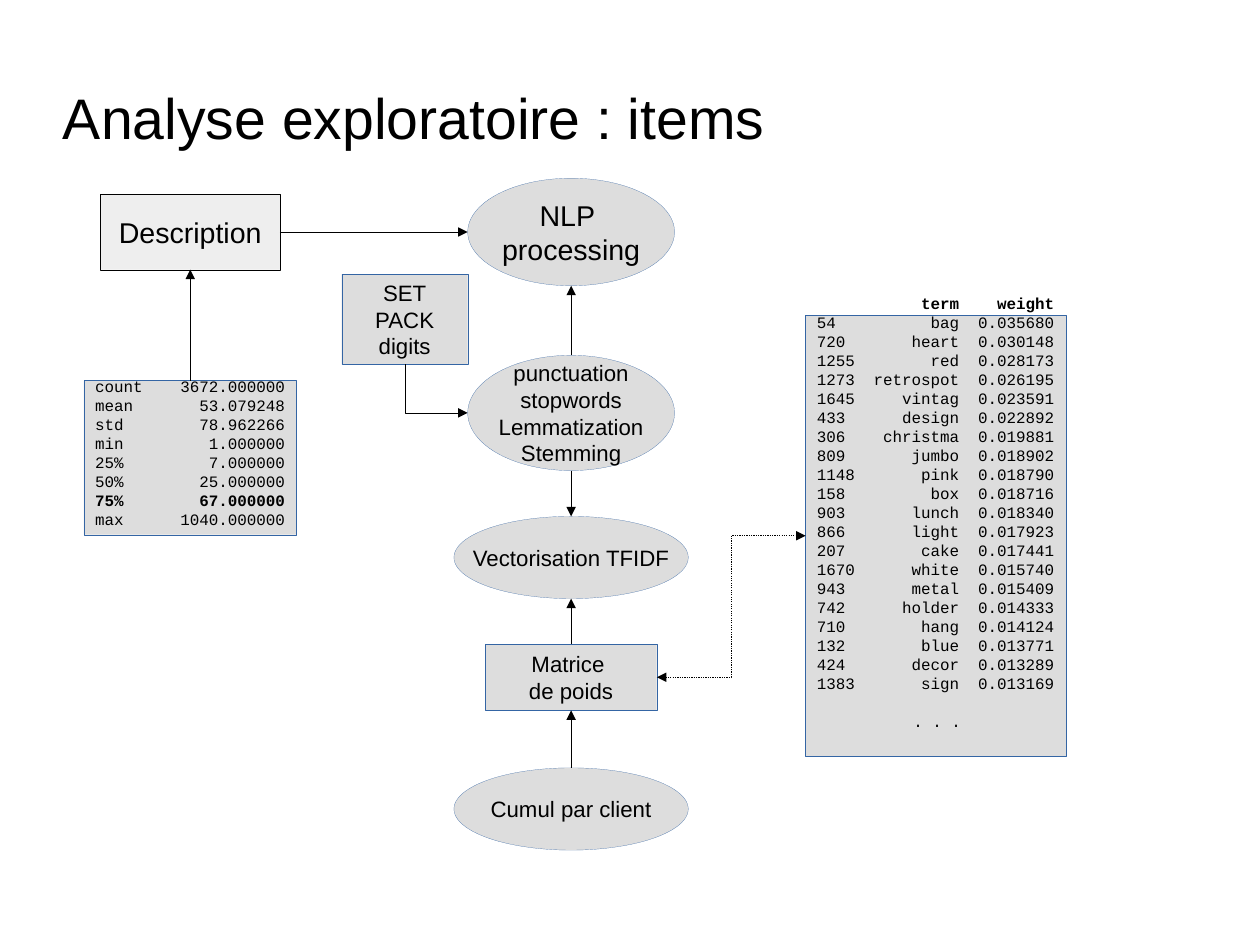
from dataclasses import dataclass

from lxml.etree import SubElement
from pptx import Presentation
from pptx.dml.color import RGBColor as RGB
from pptx.enum.dml import MSO_LINE as Dash
from pptx.enum.shapes import MSO_CONNECTOR as Link
from pptx.enum.shapes import MSO_SHAPE as Shape
from pptx.enum.text import MSO_ANCHOR as Anchor
from pptx.enum.text import PP_ALIGN as Align
from pptx.oxml.ns import qn
from pptx.util import Cm, Inches, Pt


@dataclass(frozen=True)
class Theme:
    ink: RGB = RGB(0x00, 0x00, 0x00)
    fill: RGB = RGB(0xDD, 0xDD, 0xDD)
    source_fill: RGB = RGB(0xEE, 0xEE, 0xEE)
    outline: RGB = RGB(0x34, 0x65, 0xA4)
    font: str = "Arial"
    mono: str = "Courier New"
    title: int = 36
    large: int = 18
    normal: int = 14
    small: int = 10
    hairline: float = 0.1
    dotted_line: float = 0.75
    mono_pitch: float = 0.083  # inches per character at the small size
    mono_leading: int = 12


class Diagram:
    """One slide, measured on a grid of 100 columns by 100 rows."""

    # Connection sites of each side: rectangle, ellipse
    SITES = {"top": (0, 0), "left": (1, 2), "bottom": (2, 4), "right": (3, 6)}
    OFFSETS = {"top": (0.5, 0), "left": (0, 0.5),
               "bottom": (0.5, 1), "right": (1, 0.5)}

    def __init__(self, deck, theme):
        self.theme = theme
        self.column = deck.slide_width / 100
        self.row = deck.slide_height / 100
        self.shapes = deck.slides.add_slide(deck.slide_layouts[6]).shapes

    def area(self, left, top, width, height):
        return (round(left * self.column), round(top * self.row),
                round(width * self.column), round(height * self.row))

    def style(self, paragraph, size, font, bold=False):
        for run in paragraph.runs:
            run.font.size = Pt(size)
            run.font.name = font
            run.font.bold = bold
            run.font.color.rgb = self.theme.ink

    def title(self, text, *cells):
        frame = self.shapes.add_textbox(*self.area(*cells)).text_frame
        frame.text = text
        frame.word_wrap = True
        frame.vertical_anchor = Anchor.MIDDLE
        frame.margin_left = frame.margin_right = 0
        frame.margin_top = frame.margin_bottom = 0
        self.style(frame.paragraphs[0], self.theme.title, self.theme.font)

    def panel(self, kind, cells, fill=None, outline=None):
        panel = self.shapes.add_shape(kind, *self.area(*cells))
        panel.shadow.inherit = False
        panel.fill.solid()
        panel.fill.fore_color.rgb = fill or self.theme.fill
        panel.line.color.rgb = outline or self.theme.outline
        panel.line.width = Pt(self.theme.hairline)
        return panel

    def node(self, text, kind, cells, size=None, **colours):
        node = self.panel(kind, cells, **colours)
        frame = node.text_frame
        frame.text = text
        frame.word_wrap = False
        frame.vertical_anchor = Anchor.MIDDLE
        for paragraph in frame.paragraphs:
            paragraph.alignment = Align.CENTER
            self.style(paragraph, size or self.theme.normal, self.theme.font)
        return node

    def listing(self, rows, cells, stops, bold_row, bottom=0.05):
        """Monospace rows; each stop is the character where a column ends."""
        listing = self.panel(Shape.RECTANGLE, cells)
        frame = listing.text_frame
        frame.text = "\n".join("\t".join(row) for row in rows)
        frame.word_wrap = True
        frame.vertical_anchor = Anchor.BOTTOM
        frame.margin_left = Inches(0.1)
        frame.margin_right = Inches(0.08)
        frame.margin_bottom = Inches(bottom)
        for number, paragraph in enumerate(frame.paragraphs):
            paragraph.alignment = Align.LEFT
            paragraph.line_spacing = Pt(self.theme.mono_leading)
            tabs = SubElement(paragraph._p.get_or_add_pPr(), qn("a:tabLst"))
            for stop in stops:
                position = Inches(stop * self.theme.mono_pitch)
                SubElement(tabs, qn("a:tab"), pos=str(position), algn="r")
            self.style(paragraph, self.theme.small, self.theme.mono,
                       number == bold_row)
        return listing

    def anchor(self, shape, side):
        across, down = self.OFFSETS[side]
        return (round(shape.left + across * shape.width),
                round(shape.top + down * shape.height))

    def arrow(self, start, start_side, end, end_side, kind=Link.STRAIGHT,
              preset=None, heads=("tailEnd",), dotted=False):
        arrow = self.shapes.add_connector(
            kind, *self.anchor(start, start_side), *self.anchor(end, end_side))
        arrow.line.color.rgb = self.theme.ink
        arrow.line.width = Pt(self.theme.hairline)
        if dotted:
            arrow.line.width = Pt(self.theme.dotted_line)
            arrow.line.dash_style = Dash.ROUND_DOT
        properties = arrow.element.spPr
        if preset:
            properties.find(qn("a:prstGeom")).set("prst", preset)
        for head in heads:
            SubElement(properties.find(qn("a:ln")), qn(f"a:{head}"),
                       type="triangle")
        SubElement(properties, qn("a:effectLst"))
        # Attach both ends to their shapes
        ends = (("stCxn", start, start_side), ("endCxn", end, end_side))
        for tag, shape, side in ends:
            site = self.SITES[side][shape.auto_shape_type == Shape.OVAL]
            SubElement(arrow.element.nvCxnSpPr.cNvCxnSpPr, qn(f"a:{tag}"),
                       id=str(shape.shape_id), idx=str(site))


LENGTH_STATS = [
    ("count", "3672.000000"), ("mean", "53.079248"), ("std", "78.962266"),
    ("min", "1.000000"), ("25%", "7.000000"), ("50%", "25.000000"),
    ("75%", "67.000000"), ("max", "1040.000000"),
]
TERM_WEIGHTS = [
    ("", "term", "weight"),
    ("54", "bag", "0.035680"), ("720", "heart", "0.030148"),
    ("1255", "red", "0.028173"), ("1273", "retrospot", "0.026195"),
    ("1645", "vintag", "0.023591"), ("433", "design", "0.022892"),
    ("306", "christma", "0.019881"), ("809", "jumbo", "0.018902"),
    ("1148", "pink", "0.018790"), ("158", "box", "0.018716"),
    ("903", "lunch", "0.018340"), ("866", "light", "0.017923"),
    ("207", "cake", "0.017441"), ("1670", "white", "0.015740"),
    ("943", "metal", "0.015409"), ("742", "holder", "0.014333"),
    ("710", "hang", "0.014124"), ("132", "blue", "0.013771"),
    ("424", "decor", "0.013289"), ("1383", "sign", "0.013169"),
    (". . .",),
]
FLOW_CENTRE = 45.33


def main():
    deck = Presentation()
    deck.slide_width, deck.slide_height = Cm(28), Cm(21)
    theme = Theme()
    diagram = Diagram(deck, theme)
    diagram.title("Analyse exploratoire : items", 5, 7.58, 85, 9.55)

    # Source column and its statistics
    description = diagram.node(
        "Description", Shape.RECTANGLE, (7.98, 20.56, 14.24, 7.98),
        theme.large, fill=theme.source_fill, outline=theme.ink)
    stats = diagram.listing(LENGTH_STATS, (6.66, 40.27, 16.88, 16.32),
                            stops=[20], bold_row=6)

    # Central flow, from top to bottom
    def step(text, kind, top, width, height, size=None):
        cells = (FLOW_CENTRE - width / 2, top, width, height)
        return diagram.node(text, kind, cells, size)

    nlp = step("NLP \nprocessing", Shape.OVAL, 18.86, 16.42, 11.38,
               theme.large)
    cleaning = step("punctuation\nstopwords\nLemmatization\nStemming",
                    Shape.OVAL, 37.6, 16.42, 12.2)
    tfidf = step("Vectorisation TFIDF", Shape.OVAL, 54.64, 18.6, 8.71)
    matrix = step("Matrice \nde poids", Shape.RECTANGLE, 68.17, 13.6, 7)
    clients = step("Cumul par client", Shape.OVAL, 81.25, 18.6, 8.71)

    # Removed words and heaviest terms
    removed = diagram.node("SET\nPACK\ndigits", Shape.RECTANGLE,
                           (27.12, 29.02, 10, 9.55))
    terms = diagram.listing(TERM_WEIGHTS, (63.94, 33.36, 20.7, 46.67),
                            stops=[15, 25], bold_row=0, bottom=0.22)
    ellipsis = terms.text_frame.paragraphs[-1]
    ellipsis.alignment = Align.CENTER
    ellipsis.space_before = Pt(theme.mono_leading)

    # Arrows
    diagram.arrow(stats, "top", description, "bottom")
    diagram.arrow(description, "right", nlp, "left")
    diagram.arrow(cleaning, "top", nlp, "bottom")
    diagram.arrow(cleaning, "bottom", tfidf, "top")
    diagram.arrow(matrix, "top", tfidf, "bottom")
    diagram.arrow(clients, "top", matrix, "bottom")
    diagram.arrow(cleaning, "left", removed, "bottom", Link.ELBOW,
                  preset="bentConnector2", heads=("headEnd",))
    diagram.arrow(matrix, "right", terms, "left", Link.ELBOW,
                  heads=("headEnd", "tailEnd"), dotted=True)

    deck.save("out.pptx")


if __name__ == "__main__":
    main()
